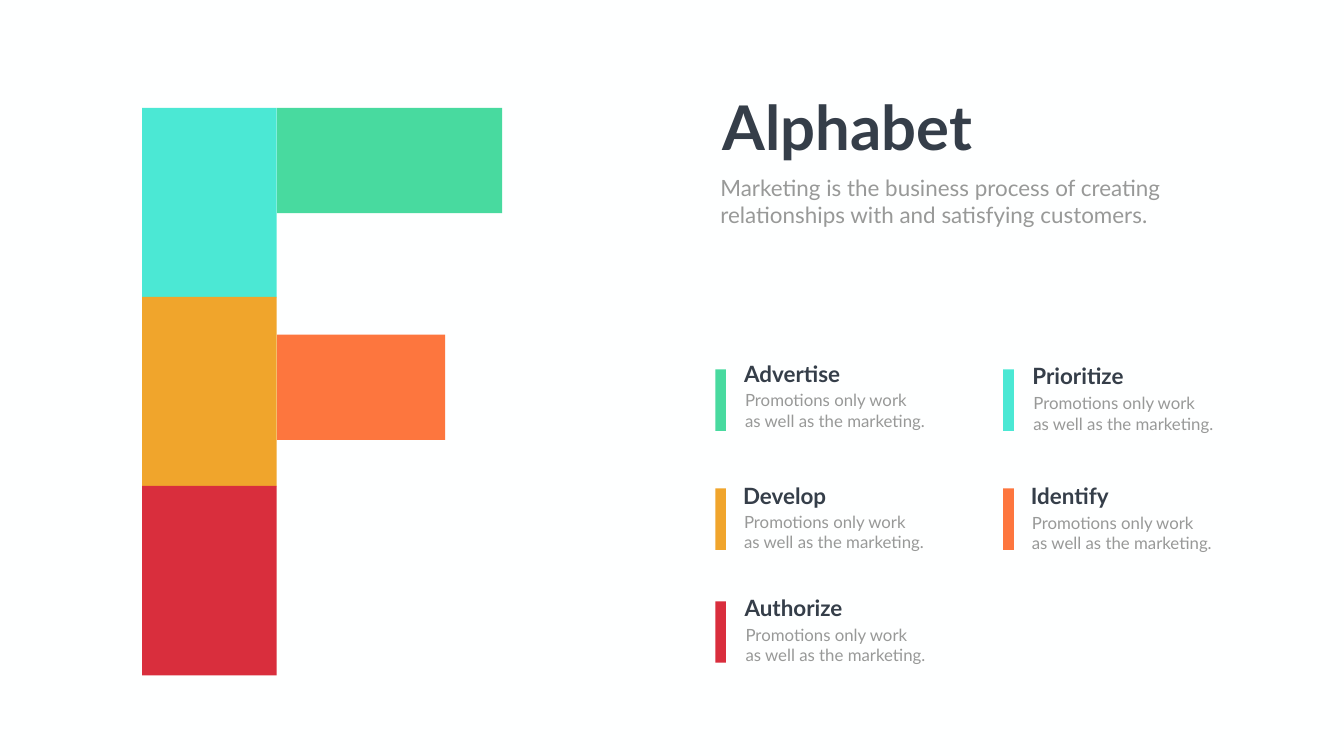
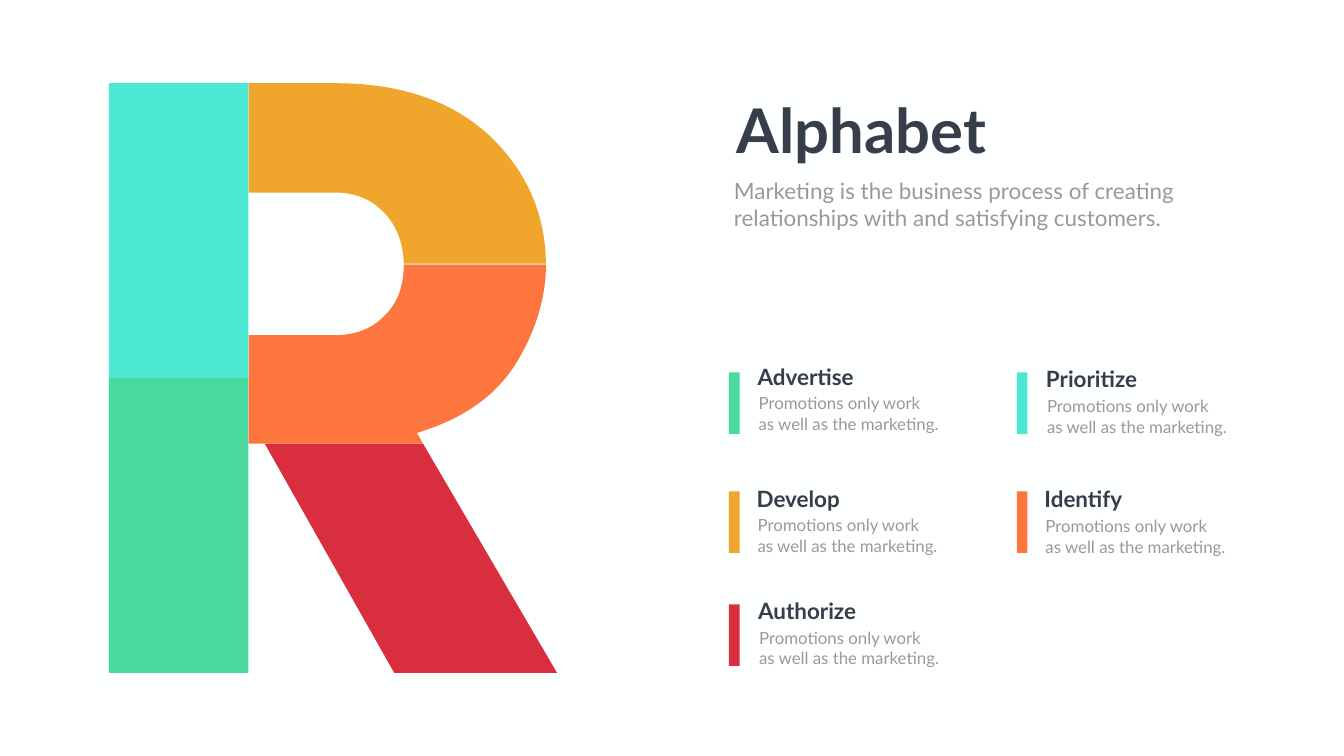
from dataclasses import dataclass

from pptx import Presentation
from pptx import util as u
from pptx.dml.color import RGBColor
from pptx.enum import shapes as kinds, text as txt

PX = 9144  # EMU; 100 px to the inch


@dataclass(frozen=True)
class Theme:
    font: str = "Lato"
    paper: str = "FEFFFF"
    ink: str = "353E49"
    muted: str = "989998"
    seam: str = "EAEAEA"
    green: str = "48DA9F"
    aqua: str = "4BE8D4"
    amber: str = "F0A52C"
    orange: str = "FD763E"
    red: str = "D92E3D"
    title: int = 88
    heading: int = 32
    body: int = 24


THEME = Theme()
COLUMN_GAP = 571
BAR = (21, 122)
BLURB = ["Promotions only work", "as well as the marketing."]
INTRO = ["Marketing is the business process of creating",
         "relationships with and satisfying customers."]

# heading, colour, column, bar top, heading offset from bar, body drop from heading
LEGEND = [
    ("Advertise", THEME.green, 0, 561, (47, -23), 59),
    ("Prioritize", THEME.aqua, 1, 561, (48, -20), 62),
    ("Develop", THEME.amber, 0, 797, (45, -18), 60),
    ("Identify", THEME.orange, 1, 797, (45, -18), 62),
    ("Authorize", THEME.red, 0, 1021, (48, -19), 61),
]

# Outlines relative to the top of the stem's right edge:
# pairs are corners, sixes are cubic curves.
UPPER_BOWL = [(172, 217), (212, 217, 245, 231, 270, 258), (294, 283, 307, 318, 308, 358),
              (590, 358), (589, 260, 552, 175, 480, 106), (406, 36, 303, 0, 172, 0),
              (0, 0), (0, 217)]
LOWER_BOWL = [(334, 694), (424, 667, 489, 622, 530, 557), (569, 494, 590, 427, 590, 360),
              (590, 359), (308, 359), (308, 360), (308, 402, 296, 436, 271, 460),
              (247, 486, 214, 500, 172, 500), (0, 500), (0, 715), (346, 715)]
LEG = [(346, 715), (32, 715), (289, 1170), (612, 1170)]


def emu(*lengths):
    return [round(length * PX) for length in lengths]


def paint(shape, color):
    shape.shadow.inherit = False
    shape.fill.solid()
    shape.fill.fore_color.rgb = RGBColor.from_string(color)
    shape.line.fill.background()


def block(slide, left, top, width, height, color):
    box = emu(left, top, width, height)
    paint(slide.shapes.add_shape(kinds.MSO_SHAPE.RECTANGLE, *box), color)


def flatten(outline, steps=16):
    """Turn corners and cubic curves into a list of points."""
    points = []
    for part in outline:
        if len(part) == 2:
            points.append(part)
            continue
        controls = [points[-1], part[:2], part[2:4], part[4:]]
        for step in range(1, steps + 1):
            t = step / steps
            weights = ((1 - t) ** 3, 3 * t * (1 - t) ** 2, 3 * t * t * (1 - t), t ** 3)
            points.append(tuple(sum(w * c[axis] for w, c in zip(weights, controls))
                                for axis in (0, 1)))
    return points


def cutout(slide, left, top, outline, color):
    points = [emu(left + x, top + y) for x, y in flatten(outline)]
    builder = slide.shapes.build_freeform(*points[0], scale=1.0)
    builder.add_line_segments(points[1:], close=True)
    paint(builder.convert_to_shape(), color)


def write(shapes, box, lines, *, size, color, bold=False, wrap=True, align=None):
    frame = shapes.add_textbox(*emu(*box)).text_frame
    frame.word_wrap = wrap
    frame.auto_size = txt.MSO_AUTO_SIZE.SHAPE_TO_FIT_TEXT
    for index, line in enumerate(lines):
        paragraph = frame.add_paragraph() if index else frame.paragraphs[0]
        paragraph.alignment = align
        run = paragraph.add_run()
        run.text = line
        run.font.name = THEME.font
        run.font.size = u.Pt(size)
        run.font.bold = bold
        run.font.color.rgb = RGBColor.from_string(color)


def letter_f(slide, left, top):
    stem, segment, arm = 267, 375, 209
    block(slide, left + stem, top, 447, arm, THEME.green)
    block(slide, left + stem, top + 450, 334, arm, THEME.orange)
    for row, color in enumerate((THEME.aqua, THEME.amber, THEME.red)):
        block(slide, left, top + row * segment, stem, segment + 1, color)


def letter_r(slide, left, top):
    stem, half = 277, 585
    edge = left + stem
    cutout(slide, edge, top, LEG, THEME.red)
    block(slide, left, top + half, stem, half, THEME.green)
    cutout(slide, edge, top, UPPER_BOWL, THEME.amber)
    cutout(slide, edge, top, LOWER_BOWL, THEME.orange)
    block(slide, edge + 308, top + 359, 282, 1, THEME.seam)
    block(slide, left, top, stem, half, THEME.aqua)


def heading_block(slide, left, top):
    group = slide.shapes.add_group_shape().shapes
    write(group, (left, top, 525, 158), ["Alphabet"], size=THEME.title, color=THEME.ink,
          bold=True, wrap=False, align=txt.PP_ALIGN.CENTER)
    write(group, (left, top + 169, 908, 118), INTRO, size=THEME.heading, color=THEME.muted)


def legend(slide, left, top):
    for heading, color, column, bar_top, (dx, dy), drop in LEGEND:
        x, y = left + column * COLUMN_GAP, top + bar_top
        block(slide, x, y, *BAR, color)
        group = slide.shapes.add_group_shape().shapes
        write(group, (x + dx, y + dy, 221, 64), [heading],
              size=THEME.heading, color=THEME.ink, bold=True)
        write(group, (x + dx + 2, y + dy + drop, 382, 91), BLURB,
              size=THEME.body, color=THEME.muted)


def alphabet_slide(deck, draw_letter, letter_at, panel_at):
    slide = deck.slides.add_slide(deck.slide_layouts[6])
    slide.background.fill.solid()
    slide.background.fill.fore_color.rgb = RGBColor.from_string(THEME.paper)
    draw_letter(slide, *letter_at)
    heading_block(slide, *panel_at)
    legend(slide, *panel_at)


def main():
    deck = Presentation()
    deck.slide_width, deck.slide_height = emu(2666, 1500)
    alphabet_slide(deck, letter_f, (282, 214), (1419, 172))
    alphabet_slide(deck, letter_r, (216, 165), (1446, 178))
    deck.save("out.pptx")


if __name__ == "__main__":
    main()
